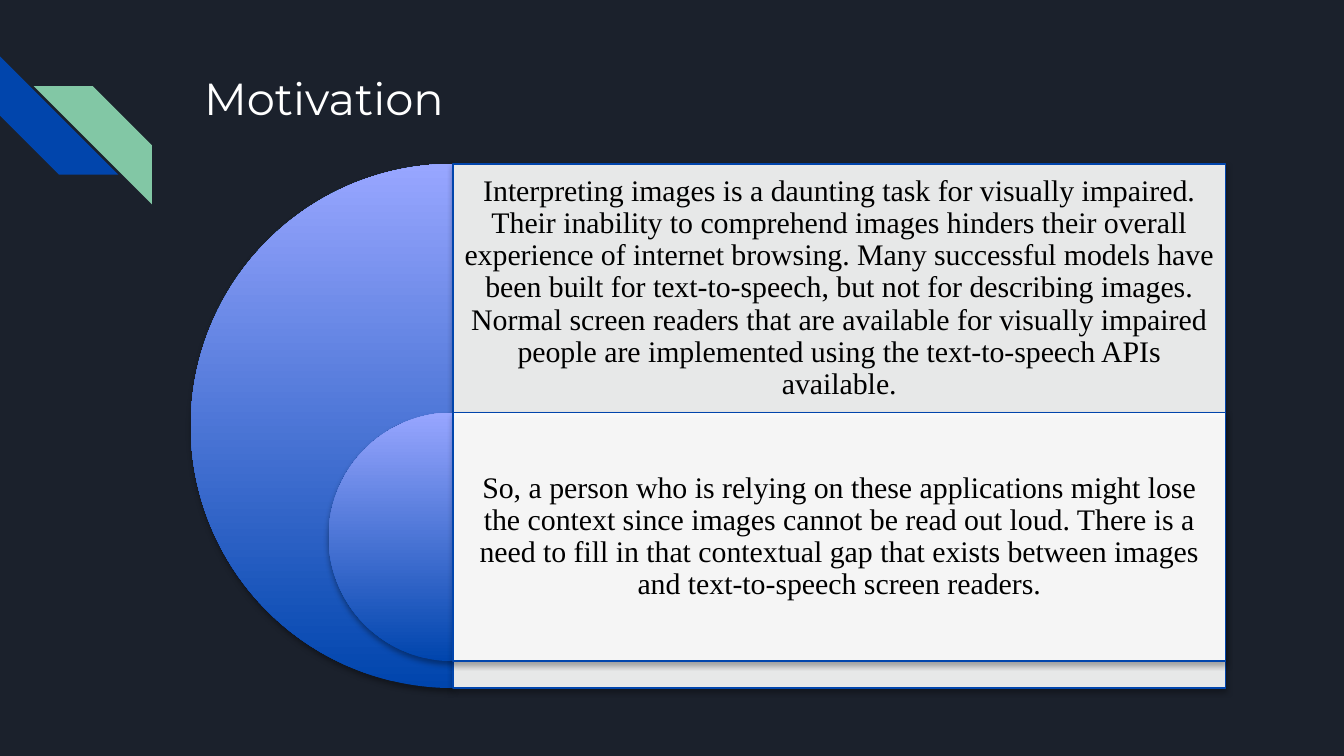
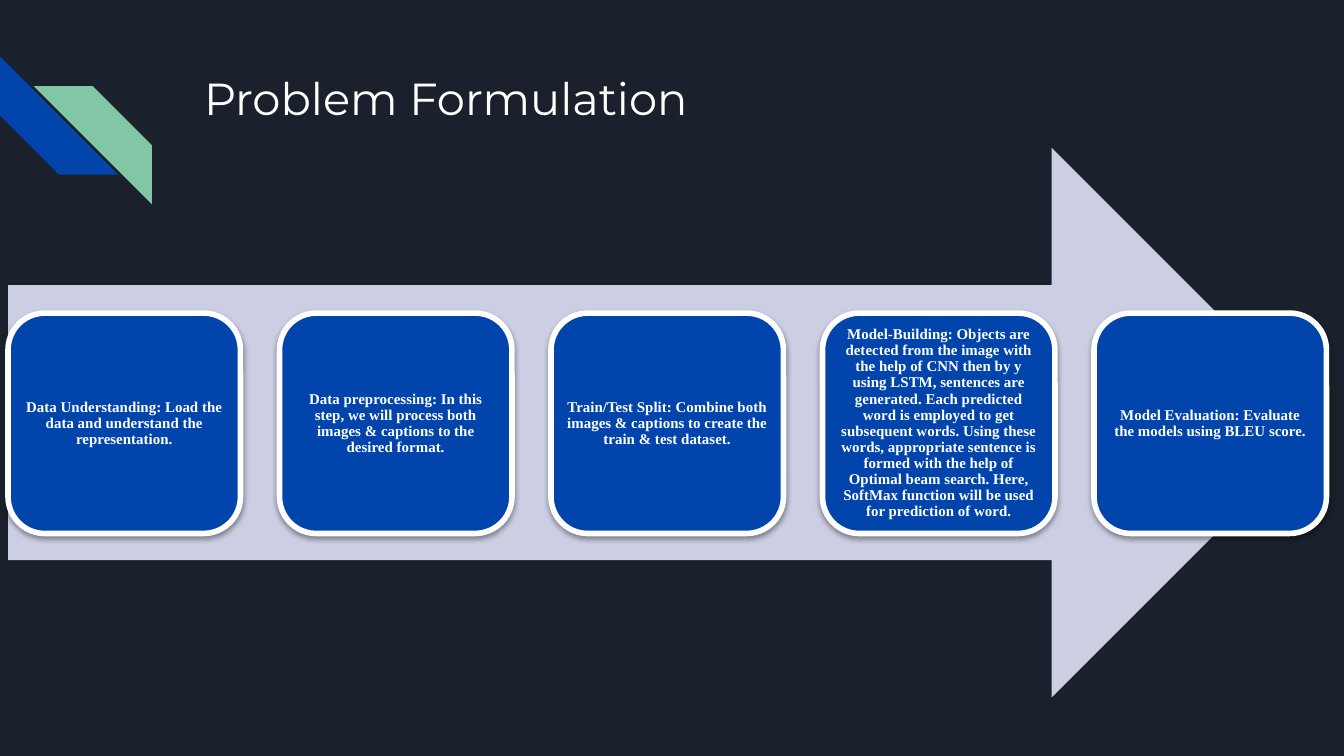
from dataclasses import dataclass

from lxml.etree import SubElement
from pptx import Presentation
from pptx.dml.color import RGBColor
from pptx.enum.shapes import MSO_SHAPE
from pptx.enum.text import MSO_ANCHOR, PP_ALIGN
from pptx.oxml.ns import qn
from pptx.shapes.autoshape import Shape
from pptx.slide import Slide
from pptx.util import Inches, Length, Pt

NIGHT = RGBColor(0x1B, 0x21, 0x2C)
BLUE = RGBColor(0x01, 0x45, 0xAC)
DEEP_BLUE = RGBColor(0x00, 0x45, 0xAD)
GREEN = RGBColor(0x82, 0xC7, 0xA5)
PERIWINKLE = RGBColor(0x98, 0xA6, 0xFF)
LAVENDER = RGBColor(0xCC, 0xCF, 0xE3)
WHITE = RGBColor(0xFF, 0xFF, 0xFF)
BLACK = RGBColor(0x00, 0x00, 0x00)

TITLE_FONT = "Montserrat"
BODY_FONT = "Times New Roman"

SLIDE_WIDTH = Inches(10)
SLIDE_HEIGHT = SLIDE_WIDTH * 9 // 16

PANEL_LEFT = Inches(3.37)
PANEL_WIDTH = Inches(5.75)
ROW_HEIGHT = Inches(1.85)

STEP_LEFT = Inches(0.06)
STEP_TOP = Inches(2.33)
STEP_WIDTH = Inches(1.73)
STEP_HEIGHT = Inches(1.64)
STEP_PITCH = Inches(2.02)
STEP_PADDING = Inches(0.08)


@dataclass(frozen=True)
class Layer:
    """A half disc with its text panel."""

    top: Length
    size: Length
    text: str


@dataclass(frozen=True)
class TextStyle:
    """Size, colour, weight and inset of centred body text."""

    size: Length
    color: RGBColor
    bold: bool
    inset: Length


LAYER_STYLE = TextStyle(Pt(16), BLACK, False, Inches(0.07))
STEP_STYLE = TextStyle(Pt(8), WHITE, True, Inches(0.03))

LAYERS = (
    Layer(
        Inches(1.22),
        Inches(3.9),
        "Interpreting images is a daunting task for visually impaired. Their "
        "inability to comprehend images hinders their overall experience of "
        "internet browsing. Many successful models have been built for "
        "text-to-speech, but not for describing images. Normal screen readers "
        "that are available for visually impaired people are implemented using "
        "the text-to-speech APIs available.",
    ),
    Layer(
        Inches(3.07),
        ROW_HEIGHT,
        "So, a person who is relying on these applications might lose the "
        "context since images cannot be read out loud. There is a need to fill "
        "in that contextual gap that exists between images and text-to-speech "
        "screen readers.",
    ),
)

STEPS = (
    "Data Understanding: Load the data and understand the representation.",
    "Data preprocessing: In this step, we will process both images & captions "
    "to the desired format.",
    "Train/Test Split: Combine both images & captions to create the train & "
    "test dataset.",
    "Model-Building: Objects are detected from the image with the help of CNN "
    "then by y using LSTM, sentences are generated. Each predicted word is "
    "employed to get subsequent words. Using these words, appropriate sentence "
    "is formed with the help of Optimal beam search. Here, SoftMax function "
    "will be used for prediction of word.",
    "Model Evaluation: Evaluate the models using BLEU score.",
)


def add_plain_shape(
    slide: Slide, kind: MSO_SHAPE, left: Length, top: Length,
    width: Length, height: Length, color: RGBColor,
) -> Shape:
    """Add a filled shape without line or shadow."""
    shape = slide.shapes.add_shape(kind, left, top, width, height)
    shape.shadow.inherit = False
    shape.fill.solid()
    shape.fill.fore_color.rgb = color
    shape.line.fill.background()
    return shape


def set_line(shape: Shape, color: RGBColor, width: Length) -> None:
    """Outline a shape."""
    shape.line.color.rgb = color
    shape.line.width = width


def add_shadow(shape: Shape, opacity: int, distance: Length) -> None:
    """Give a shape a soft shadow that falls straight down."""
    effects = shape.element.spPr.find(qn("a:effectLst"))
    shadow = SubElement(
        effects, qn("a:outerShdw"), blurRad=str(Pt(3.1)),
        dist=str(distance), dir="5400000", rotWithShape="0",
    )
    color = SubElement(shadow, qn("a:srgbClr"), val=str(BLACK))
    SubElement(color, qn("a:alpha"), val=str(opacity * 1000))


def add_text(
    slide: Slide, left: Length, top: Length, width: Length, height: Length,
    text: str, inset: Length,
) -> Shape:
    """Add a wrapping text box with equal insets."""
    box = slide.shapes.add_textbox(left, top, width, height)
    frame = box.text_frame
    frame.text = text
    frame.word_wrap = True
    frame.margin_left = frame.margin_right = inset
    frame.margin_top = frame.margin_bottom = inset
    return box


def add_centred_text(
    slide: Slide, left: Length, top: Length, width: Length, height: Length,
    text: str, style: TextStyle,
) -> None:
    """Add one centred paragraph of body text."""
    box = add_text(slide, left, top, width, height, text, style.inset)
    box.text_frame.vertical_anchor = MSO_ANCHOR.MIDDLE
    para = box.text_frame.paragraphs[0]
    para.alignment = PP_ALIGN.CENTER
    para.line_spacing = 0.9
    font = para.runs[0].font
    font.name = BODY_FONT
    font.size = style.size
    font.bold = style.bold
    font.color.rgb = style.color


def add_titled_slide(deck: Presentation, title: str) -> Slide:
    """Add a dark slide with the corner stripes and a title."""
    slide = deck.slides.add_slide(deck.slide_layouts[6])
    slide.background.fill.solid()
    slide.background.fill.fore_color.rgb = NIGHT

    side = Inches(0.88)
    blue_stripe = add_plain_shape(
        slide, MSO_SHAPE.DIAGONAL_STRIPE, Inches(0), Inches(0.42), side, side, BLUE
    )
    blue_stripe.rotation = 270
    green_stripe = add_plain_shape(
        slide, MSO_SHAPE.DIAGONAL_STRIPE, Inches(0.25), Inches(0.64), side, side, GREEN
    )
    green_stripe.element.spPr.find(qn("a:xfrm")).set("flipH", "1")

    box = add_text(
        slide, Inches(1.42), Inches(0.43), Inches(7.7), Inches(1), title, Inches(0.1)
    )
    font = box.text_frame.paragraphs[0].runs[0].font
    font.name = TITLE_FONT
    font.size = Pt(24)
    font.color.rgb = WHITE
    return slide


def add_layer(slide: Slide, layer: Layer) -> None:
    """Draw a half disc and the panel to its right."""
    disc = add_plain_shape(
        slide, MSO_SHAPE.PIE, PANEL_LEFT - layer.size // 2, layer.top,
        layer.size, layer.size, BLUE,
    )
    disc.adjustments[0] = 54
    disc.adjustments[1] = 162
    disc.fill.gradient()
    disc.fill.gradient_angle = 90
    for stop, color in zip(disc.fill.gradient_stops, (DEEP_BLUE, PERIWINKLE)):
        stop.color.rgb = color
    add_shadow(disc, 35, Pt(1.8))

    panel = add_plain_shape(
        slide, MSO_SHAPE.RECTANGLE, PANEL_LEFT, layer.top,
        PANEL_WIDTH, layer.size, WHITE,
    )
    panel_color = panel.element.spPr.find(qn("a:solidFill")).find(qn("a:srgbClr"))
    SubElement(panel_color, qn("a:alpha"), val="90000")
    set_line(panel, BLUE, Pt(0.75))
    add_shadow(panel, 35, Pt(1.8))
    add_centred_text(
        slide, PANEL_LEFT, layer.top, PANEL_WIDTH, ROW_HEIGHT, layer.text, LAYER_STYLE
    )


def add_step(slide: Slide, index: int, text: str) -> None:
    """Draw one process step on the arrow."""
    left = STEP_LEFT + index * STEP_PITCH
    card = add_plain_shape(
        slide, MSO_SHAPE.ROUNDED_RECTANGLE, left, STEP_TOP,
        STEP_WIDTH, STEP_HEIGHT, BLUE,
    )
    set_line(card, WHITE, Pt(3))
    add_shadow(card, 38, Pt(1.6))
    add_centred_text(
        slide, left + STEP_PADDING, STEP_TOP + STEP_PADDING,
        STEP_WIDTH - 2 * STEP_PADDING, STEP_HEIGHT - 2 * STEP_PADDING,
        text, STEP_STYLE,
    )


def build_motivation(deck: Presentation) -> None:
    """Build the slide with the nested half discs."""
    slide = add_titled_slide(deck, "Motivation")
    for layer in LAYERS:
        add_layer(slide, layer)


def build_problem_formulation(deck: Presentation) -> None:
    """Build the slide with the process arrow."""
    slide = add_titled_slide(deck, "Problem Formulation")
    add_plain_shape(
        slide, MSO_SHAPE.RIGHT_ARROW, STEP_LEFT, Inches(1.1),
        Inches(9.81), Inches(4.09), LAVENDER,
    )
    for index, text in enumerate(STEPS):
        add_step(slide, index, text)


def main() -> None:
    """Build and save the deck."""
    deck = Presentation()
    deck.slide_width = SLIDE_WIDTH
    deck.slide_height = SLIDE_HEIGHT
    build_motivation(deck)
    build_problem_formulation(deck)
    deck.save("out.pptx")


if __name__ == "__main__":
    main()
